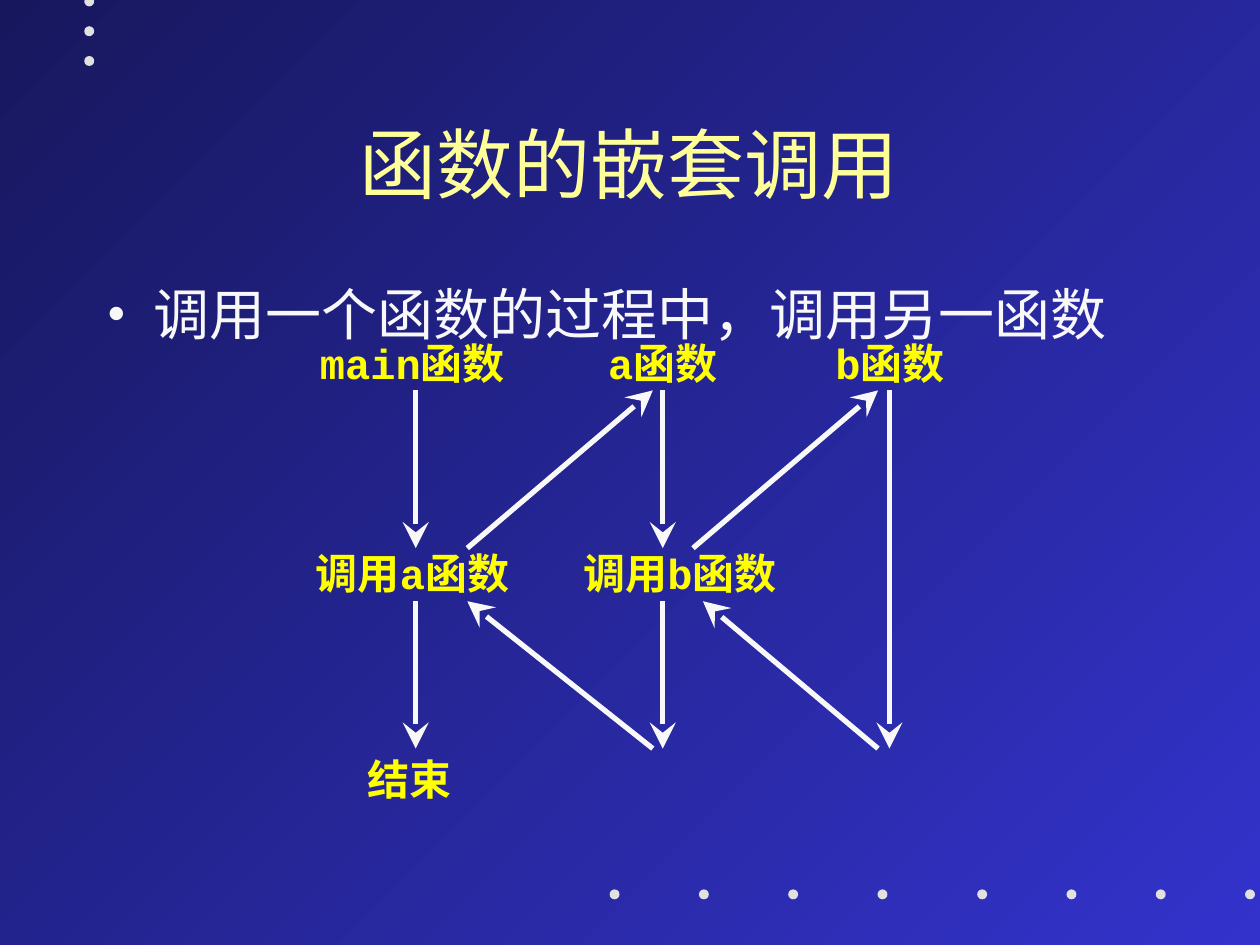
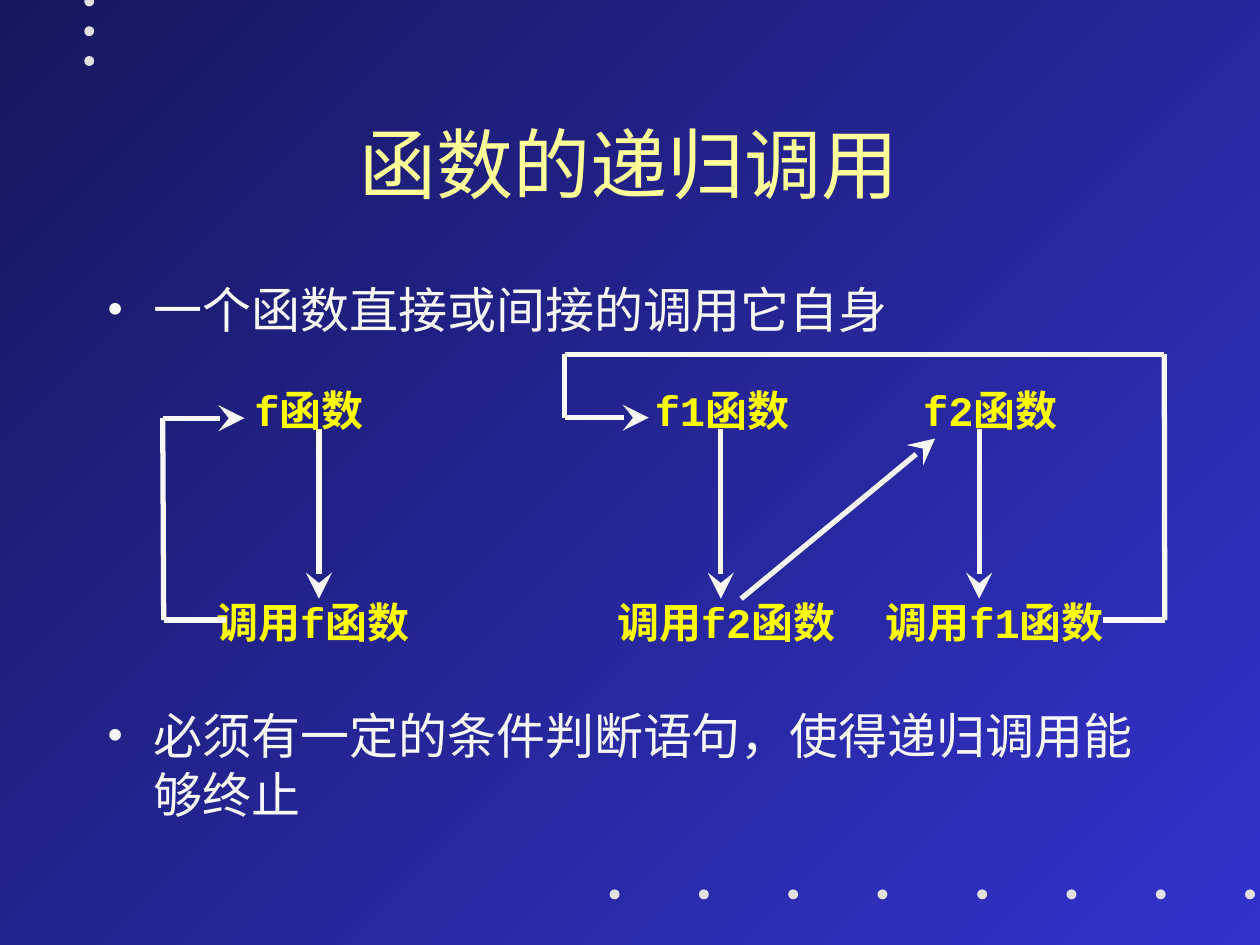
"""Build two slides on nested and recursive function calls."""
from dataclasses import dataclass
from itertools import pairwise
from typing import NamedTuple

from lxml import etree
from pptx import Presentation
from pptx import util as u
from pptx.dml.color import RGBColor
from pptx.enum import shapes, text
from pptx.oxml import ns


@dataclass(frozen=True)
class Theme:
    """Colours, fonts and sizes shared by both slides."""
    background_start: str = "3333CC"
    background_end: str = "17175E"
    dot: str = "E1E1E1"
    title: str = "FFFF99"
    body: str = "F8F8F8"
    label: str = "FFFF00"
    serif: str = "Times New Roman"
    mono: str = "Courier New"
    title_size: int = 44
    label_size: int = 24
    line_width: int = 3
    label_height: float = 1.27


class Run(NamedTuple):
    """A piece of label text in one font."""
    content: str
    font: str


class Label(NamedTuple):
    """A bold caption in a diagram, in centimetres."""
    left: float
    top: float
    width: float
    runs: tuple[Run, ...]


class Route(NamedTuple):
    """A chain of straight lines ending in an arrowhead, in centimetres."""
    points: tuple[tuple[float, float], ...]


class Bullet(NamedTuple):
    """A bulleted sentence with its size and space before, in points."""
    content: str
    size: int
    space_before: float


class Page(NamedTuple):
    """The content of one slide."""
    title: str
    bullets: tuple[Bullet, ...]
    diagrams: tuple[tuple[Label | Route, ...], ...]


THEME = Theme()


def colour(value: str) -> RGBColor:
    """Return a colour from its hexadecimal value."""
    return RGBColor.from_string(value)


def mono(content: str) -> Run:
    """Return a run in the code font."""
    return Run(content, THEME.mono)


def serif(content: str) -> Run:
    """Return a run in the reading font."""
    return Run(content, THEME.serif)


def arrow(x1: float, y1: float, x2: float, y2: float) -> Route:
    """Return a route with one straight line."""
    return Route(((x1, y1), (x2, y2)))


def nested_calls() -> tuple[Label | Route, ...]:
    """Return the diagram of main calling a, and a calling b."""
    main_x, a_x, b_x = 8.38, 13.36, 17.93
    start, call, resume, end = 7.87, 11.05, 12.12, 15.09
    name_top, call_top, end_top = 6.68, 10.92, 15.06
    return (
        arrow(main_x, start, main_x, call),
        arrow(main_x, resume, main_x, end),
        arrow(a_x, start, a_x, call),
        arrow(a_x, resume, a_x, end),
        arrow(b_x, start, b_x, end),
        arrow(9.42, call, 13.16, start),
        arrow(13.97, call, 17.7, start),
        arrow(17.7, end, 14.17, resume),
        arrow(13.16, end, 9.42, resume),
        Label(6.2, name_top, 4.6, (mono("main函数"),)),
        Label(12.01, name_top, 3.1, (mono("a函数"),)),
        Label(16.59, name_top, 3.1, (mono("b函数"),)),
        Label(6.12, call_top, 5, (mono("调用a函数"),)),
        Label(11.51, call_top, 5, (mono("调用b函数"),)),
        Label(7.16, end_top, 2.4, (mono("结束"),)),
    )


def function_column(line_x: float, name_left: float, name: str, name_width: float,
                    call_left: float, callee: str, call_width: float) -> tuple[Label | Route, ...]:
    """Return a function name with an arrow down to the call it makes."""
    name_top, call_top = 7.62, 11.91
    return (
        arrow(line_x, 8.64, line_x, 12.07),
        Label(name_left, name_top, name_width, (mono(name), serif("函数"))),
        Label(call_left, call_top, call_width, (serif("调用"), mono(callee), serif("函数"))),
    )


def direct_recursion() -> tuple[Label | Route, ...]:
    """Return the diagram of f calling itself."""
    return function_column(6.43, 4.88, "f", 3.1, 4.11, "f", 5) + (
        Route(((4.55, 12.5), (3.3, 12.5), (3.28, 8.43), (4.93, 8.43))),
    )


def indirect_recursion() -> tuple[Label | Route, ...]:
    """Return the diagram of f1 and f2 calling each other."""
    return (
        function_column(14.53, 12.95, "f1", 3.6, 12.19, "f2", 5.5)
        + function_column(19.74, 18.36, "f2", 3.6, 17.6, "f1", 5.5)
        + (
            arrow(14.94, 12.07, 18.85, 8.84),
            Route(((22.23, 12.5), (23.48, 12.5), (23.47, 7.14),
                   (11.38, 7.14), (11.38, 8.42), (13.08, 8.42))),
        )
    )


def add_run(paragraph, content: str, font: str, size: int, value: str, bold: bool = False) -> None:
    """Add one formatted run to a paragraph."""
    run = paragraph.add_run()
    run.text = content
    run.font.name, run.font.size, run.font.bold = font, u.Pt(size), bold
    run.font.color.rgb = colour(value)


def add_dots(slide) -> None:
    """Draw the column of dots at the top and the row at the bottom."""
    column = [(1.7, -0.07 + 0.6 * step) for step in range(3)]
    row = [(left + 1.8 * step, 17.93) for left in (12.29, 19.7) for step in range(4)]
    for left, top in column + row:
        dot = slide.shapes.add_shape(
            shapes.MSO_SHAPE.OVAL, u.Cm(left), u.Cm(top), u.Cm(0.2), u.Cm(0.2))
        dot.shadow.inherit = False
        dot.fill.solid()
        dot.fill.fore_color.rgb = colour(THEME.dot)
        dot.line.fill.background()


def add_title(slide, content: str) -> None:
    """Add the centred slide title."""
    frame = slide.shapes.add_textbox(u.Cm(1.9), u.Cm(1.7), u.Cm(21.59), u.Cm(3.18)).text_frame
    frame.word_wrap = True
    frame.vertical_anchor = text.MSO_ANCHOR.MIDDLE
    paragraph = frame.paragraphs[0]
    paragraph.alignment = text.PP_ALIGN.CENTER
    add_run(paragraph, content, THEME.serif, THEME.title_size, THEME.title)


def add_bullets(slide, bullets: tuple[Bullet, ...]) -> None:
    """Add the bulleted sentences of a slide."""
    frame = slide.shapes.add_textbox(u.Cm(1.9), u.Cm(5.51), u.Cm(21.59), u.Cm(11.43)).text_frame
    frame.word_wrap = True
    for index, bullet in enumerate(bullets):
        paragraph = frame.add_paragraph() if index else frame.paragraphs[0]
        paragraph.space_before = u.Pt(bullet.space_before)
        properties = paragraph._p.get_or_add_pPr()
        properties.set("marL", str(u.Cm(0.95)))
        properties.set("indent", str(-u.Cm(0.95)))
        etree.SubElement(properties, ns.qn("a:buFont"), typeface=THEME.serif)
        etree.SubElement(properties, ns.qn("a:buChar"), char="•")
        add_run(paragraph, bullet.content, THEME.serif, bullet.size, THEME.body)


def add_label(group, label: Label) -> None:
    """Add a caption to a diagram."""
    box = group.shapes.add_textbox(
        u.Cm(label.left), u.Cm(label.top), u.Cm(label.width), u.Cm(THEME.label_height))
    box.text_frame.word_wrap = True
    for run in label.runs:
        add_run(box.text_frame.paragraphs[0], run.content, run.font,
                THEME.label_size, THEME.label, bold=True)


def add_route(group, route: Route) -> None:
    """Draw the lines of a route, the last one with an arrowhead."""
    for start, end in pairwise(route.points):
        connector = group.shapes.add_connector(
            shapes.MSO_CONNECTOR.STRAIGHT, *(u.Cm(value) for value in start + end))
        connector.line.color.rgb = colour(THEME.body)
        connector.line.width = u.Pt(THEME.line_width)
        properties = connector._element.spPr
        if end == route.points[-1]:
            etree.SubElement(properties.find(ns.qn("a:ln")), ns.qn("a:tailEnd"),
                             type="stealth", w="lg", len="lg")
        etree.SubElement(properties, ns.qn("a:effectLst"))


def add_diagram(slide, parts: tuple[Label | Route, ...]) -> None:
    """Draw the parts of a diagram as one group."""
    group = slide.shapes.add_group_shape()
    for part in parts:
        if isinstance(part, Label):
            add_label(group, part)
        else:
            add_route(group, part)


def set_background(presentation) -> None:
    """Give the slide master its diagonal gradient."""
    fill = presentation.slide_master.background.fill
    fill.gradient()
    fill.gradient_angle = 135
    for stop, value in zip(fill.gradient_stops, (THEME.background_start, THEME.background_end)):
        stop.color.rgb = colour(value)


def add_page(presentation, page: Page) -> None:
    """Add one slide with its title, bullets and diagrams."""
    slide = presentation.slides.add_slide(presentation.slide_layouts[6])
    add_dots(slide)
    add_title(slide, page.title)
    add_bullets(slide, page.bullets)
    for parts in page.diagrams:
        add_diagram(slide, parts)


def main() -> None:
    """Build and save the presentation."""
    presentation = Presentation()
    presentation.slide_width, presentation.slide_height = u.Cm(25.4), u.Cm(19.05)
    set_background(presentation)
    pages = (
        Page("函数的嵌套调用",
             (Bullet("调用一个函数的过程中，调用另一函数", 32, 8),),
             (nested_calls(),)),
        Page("函数的递归调用",
             (Bullet("一个函数直接或间接的调用它自身", 28, 7),
              Bullet("必须有一定的条件判断语句，使得递归调用能够终止", 28, 210)),
             (direct_recursion(), indirect_recursion())),
    )
    for page in pages:
        add_page(presentation, page)
    presentation.save("out.pptx")


if __name__ == "__main__":
    main()
